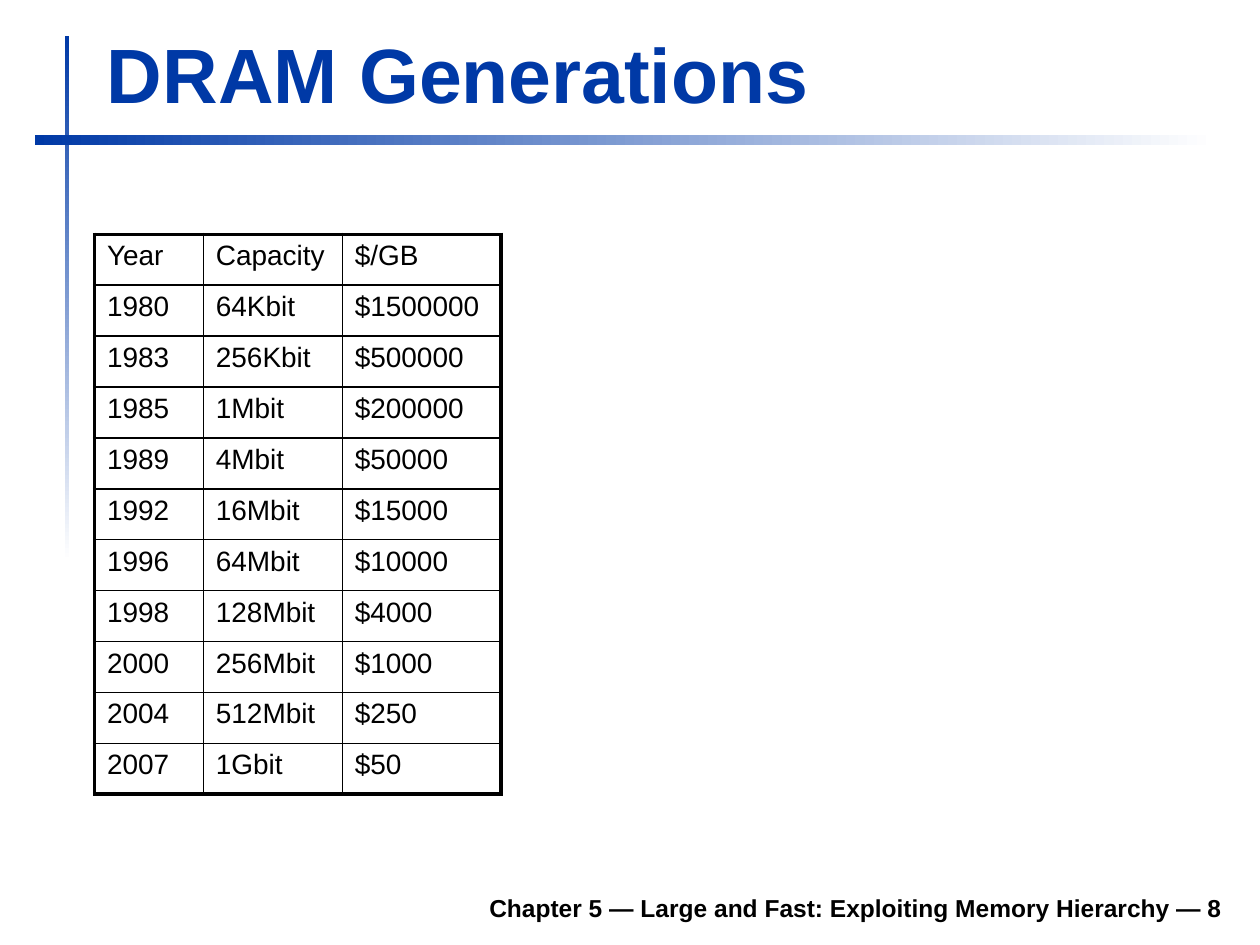
import pptx
import pptx.dml.color
import pptx.enum.shapes
import pptx.enum.text
import pptx.oxml.ns
import pptx.util
from lxml import etree

Pt = pptx.util.Pt
BLUE = pptx.dml.color.RGBColor(0x00, 0x39, 0xA6)
WHITE = pptx.dml.color.RGBColor(0xFF, 0xFF, 0xFF)
BLACK = pptx.dml.color.RGBColor(0x00, 0x00, 0x00)
FONT = "Arial"
THIN, THICK = Pt(1), Pt(2.25)

COLUMN_WIDTHS = [62.2, 79.4, 90.8]
ROW_HEIGHT = 29.1
GENERATIONS = [
    ("Year", "Capacity", "$/GB"),
    ("1980", "64Kbit", "$1500000"),
    ("1983", "256Kbit", "$500000"),
    ("1985", "1Mbit", "$200000"),
    ("1989", "4Mbit", "$50000"),
    ("1992", "16Mbit", "$15000"),
    ("1996", "64Mbit", "$10000"),
    ("1998", "128Mbit", "$4000"),
    ("2000", "256Mbit", "$1000"),
    ("2004", "512Mbit", "$250"),
    ("2007", "1Gbit", "$50"),
]


def style_text(frame, size, color, bold=False):
    for para in frame.paragraphs:
        for span in para.runs:
            span.font.name = FONT
            span.font.size = Pt(size)
            span.font.bold = bold
            span.font.color.rgb = color


def add_bar(page, left, top, width, height, angle):
    """Add a bar that fades from blue to white."""
    bar = page.shapes.add_shape(
        pptx.enum.shapes.MSO_SHAPE.RECTANGLE, Pt(left), Pt(top), Pt(width), Pt(height))
    bar.shadow.inherit = False
    bar.line.fill.background()
    bar.fill.gradient()
    bar.fill.gradient_angle = angle
    for stop, position, color in zip(bar.fill.gradient_stops, (0, 1), (BLUE, WHITE)):
        stop.position = position
        stop.color.rgb = color


def add_text(page, text, left, top, width, height, size, color, align):
    box = page.shapes.add_textbox(Pt(left), Pt(top), Pt(width), Pt(height))
    frame = box.text_frame
    frame.word_wrap = True
    frame.vertical_anchor = pptx.enum.text.MSO_ANCHOR.BOTTOM
    frame.text = text
    frame.paragraphs[0].alignment = align
    style_text(frame, size, color, bold=True)


def set_border(cell, side, width):
    properties = cell._tc.get_or_add_tcPr()
    line = etree.SubElement(properties, pptx.oxml.ns.qn(f"a:ln{side}"), w=str(width))
    fill = etree.SubElement(line, pptx.oxml.ns.qn("a:solidFill"))
    etree.SubElement(fill, pptx.oxml.ns.qn("a:srgbClr"), val=str(BLACK))


def add_grid(page, rows, left, top):
    """Add a table with a thick outer frame and thin inner lines."""
    row_count, column_count = len(rows), len(COLUMN_WIDTHS)
    table = page.shapes.add_table(
        row_count, column_count, Pt(left), Pt(top),
        Pt(sum(COLUMN_WIDTHS)), Pt(ROW_HEIGHT * row_count)).table
    table.first_row = False
    table.horz_banding = False
    for column, width in zip(table.columns, COLUMN_WIDTHS):
        column.width = Pt(width)
    for r, values in enumerate(rows):
        table.rows[r].height = Pt(ROW_HEIGHT)
        for c, value in enumerate(values):
            cell = table.cell(r, c)
            cell.text_frame.text = value
            style_text(cell.text_frame, 16, BLACK)
            outer_sides = {"L": c == 0, "R": c == column_count - 1,
                           "T": r == 0, "B": r == row_count - 1}
            for side, is_outer in outer_sides.items():
                set_border(cell, side, THICK if is_outer else THIN)
            cell.fill.background()


def main():
    deck = pptx.Presentation()
    deck.slide_width, deck.slide_height = Pt(720), Pt(540)
    page = deck.slides.add_slide(deck.slide_layouts[6])
    align = pptx.enum.text.PP_ALIGN

    # Crossing bars
    add_bar(page, 37, 20.5, 2.6, 300, 270)
    add_bar(page, 19.8, 77, 674.6, 5.8, 0)

    # Footer and title
    add_text(page, "Chapter 5 — Large and Fast: Exploiting Memory Hierarchy — 8",
             133.2, 502.6, 572.4, 28, 14, BLACK, align.RIGHT)
    add_text(page, "DRAM Generations", 54, 11.5, 650, 59.8, 44, BLUE, align.LEFT)

    # Capacity and price by year
    add_grid(page, GENERATIONS, 54, 133.9)

    deck.save("out.pptx")


if __name__ == "__main__":
    main()
